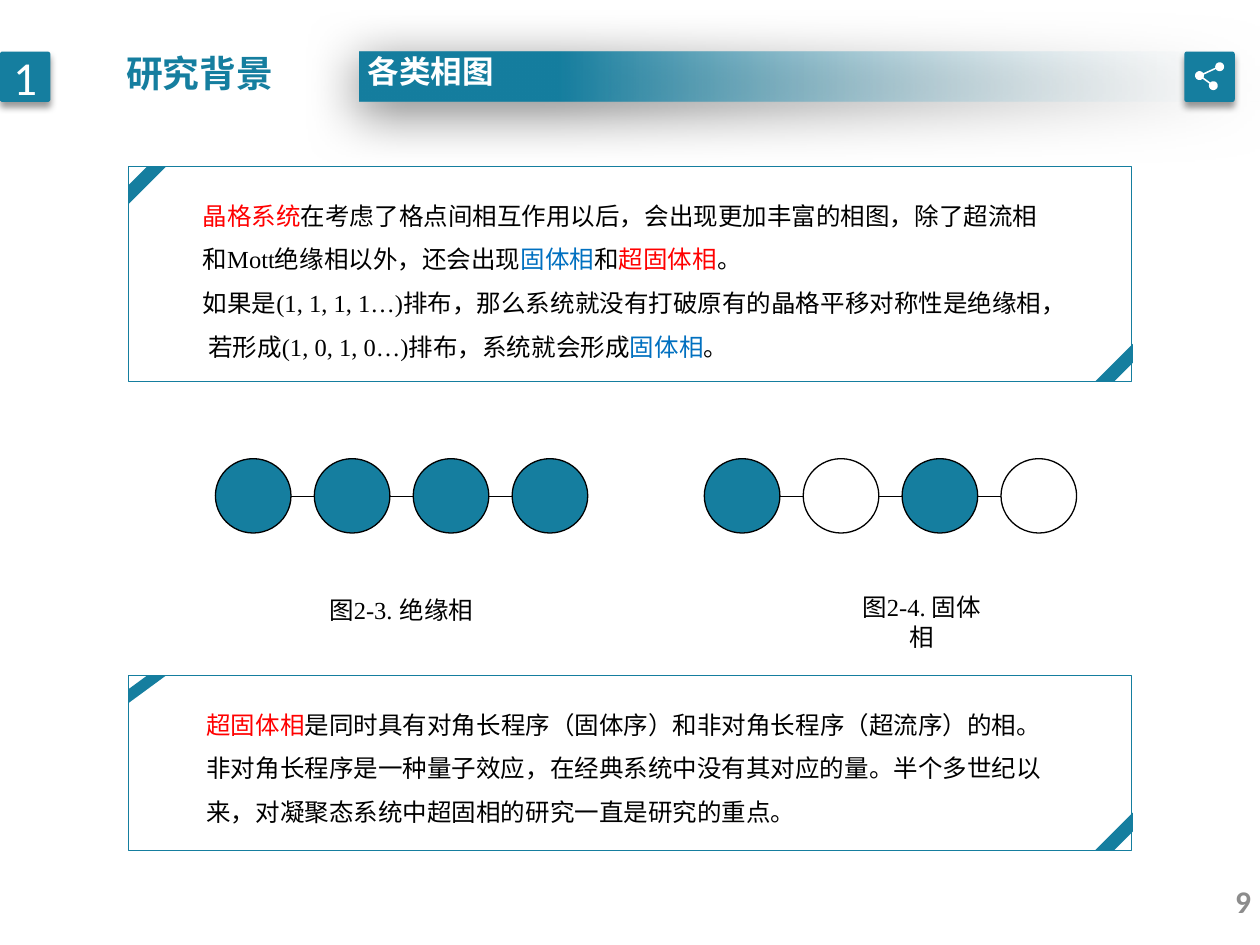
from math import cos, radians, sin

from lxml.etree import SubElement
from pptx import Presentation
from pptx.dml.color import RGBColor
from pptx.enum.shapes import MSO_CONNECTOR, MSO_SHAPE
from pptx.enum.text import MSO_ANCHOR, PP_ALIGN
from pptx.oxml.ns import qn
from pptx.util import Inches, Pt

TEAL = RGBColor(0x15, 0x7E, 0x9F)
PALE = RGBColor(0xF7, 0xFA, 0xFD)
WHITE = RGBColor(0xFF, 0xFF, 0xFF)
BLACK = RGBColor(0, 0, 0)
RED = RGBColor(0xFF, 0, 0)
BLUE = RGBColor(0, 0x70, 0xC0)
GRAY = RGBColor(0x8C, 0x8C, 0x8C)
HAN = "Noto Sans CJK SC"
TIMES = "Times New Roman"
CALIBRI = "Calibri"
NARROW = {"margin_left": Inches(0.07), "margin_right": Inches(0.07),
          "margin_top": Inches(0.04), "margin_bottom": Inches(0.04)}


def add_shape(kind, left, top, width, height, fill=None, line=None, weight=0.75, shadow=None):
    shape = page.shapes.add_shape(kind, Inches(left), Inches(top), Inches(width), Inches(height))
    shape.shadow.inherit = False
    if fill is None:
        shape.fill.background()
    else:
        shape.fill.solid()
        shape.fill.fore_color.rgb = fill
    if line is None:
        shape.line.fill.background()
    else:
        shape.line.color.rgb = line
        shape.line.width = Pt(weight)
    if shadow:
        alpha, blur, distance, angle = shadow
        effects = shape._element.spPr.find(qn("a:effectLst"))
        outer = SubElement(effects, qn("a:outerShdw"), blurRad=str(Pt(blur)),
                           dist=str(Pt(distance)), dir=str(angle * 60000),
                           algn="ctr", rotWithShape="0")
        color = SubElement(outer, qn("a:srgbClr"), val="000000")
        SubElement(color, qn("a:alpha"), val=str(alpha * 1000))
    return shape


def write(box, paragraphs, frame_format, para_format, bold=False):
    frame = box.text_frame
    for name, value in {"word_wrap": True, **frame_format}.items():
        setattr(frame, name, value)
    for index, runs in enumerate(paragraphs):
        para = frame.add_paragraph() if index else frame.paragraphs[0]
        for name, value in para_format.items():
            setattr(para, name, value)
        for text, font, size, color in runs:
            span = para.add_run()
            span.text = text
            for name, value in {"name": font, "size": Pt(size), "bold": bold}.items():
                setattr(span.font, name, value)
            span.font.color.rgb = color
            SubElement(span.font._element, qn("a:ea"), typeface=font)


deck = Presentation()
deck.slide_width, deck.slide_height = Inches(10), Inches(7.5)
page = deck.slides.add_slide(deck.slide_layouts[5])

banner = add_shape(MSO_SHAPE.RECTANGLE, 2.85, 0.41, 7.15, 0.4, TEAL, shadow=(50, 31, 6, 97))
banner.fill.gradient()
banner.fill.gradient_angle = 180
for stop, color, position in zip(banner.fill.gradient_stops, (PALE, TEAL), (0, 0.78)):
    stop.color.rgb = color
    stop.position = position
clear_color = next(banner._element.spPr.iter(qn("a:srgbClr")))
SubElement(clear_color, qn("a:alpha"), val="0")

badges = [add_shape(MSO_SHAPE.ROUNDED_RECTANGLE, left, 0.41, 0.4, 0.4, TEAL, shadow=(40, 4, 3, 90))
          for left in (0, 9.4)]
for badge in badges:
    badge.adjustments[0] = 0.05
write(badges[0], [[("1", CALIBRI, 27, WHITE)]],
      {**NARROW, "vertical_anchor": MSO_ANCHOR.MIDDLE}, {"alignment": PP_ALIGN.CENTER})

share_arcs = [(9.68, 0.53, 168, 508), (9.52, 0.6, -12, 26),
              (9.63, 0.68, 226, 566), (9.52, 0.6, 46, 328)]
outline = []
for x, y, start, end in share_arcs:
    for step in range(25):
        angle = radians(start + (end - start) * step / 24)
        outline.append((Inches(x + 0.035 * cos(angle)), Inches(y + 0.035 * sin(angle))))
builder = page.shapes.build_freeform(*outline[0])
builder.add_line_segments(outline[1:], close=True)
share_icon = builder.convert_to_shape()
share_icon.shadow.inherit = False
share_icon.fill.solid()
share_icon.fill.fore_color.rgb = WHITE
share_icon.line.fill.background()

title = page.shapes.title
for name, value in {"left": 0.93, "top": 0.26, "width": 1.32, "height": 0.6}.items():
    setattr(title, name, Inches(value))
write(title, [[("研究背景", HAN, 21, TEAL)]], {**NARROW, "vertical_anchor": MSO_ANCHOR.TOP},
      {"alignment": PP_ALIGN.LEFT, "line_spacing": 1.3}, bold=True)

for left, fills in ((1.71, (TEAL,) * 4), (5.59, (TEAL, WHITE) * 2)):
    for site, fill in enumerate(fills):
        x = left + 0.785 * site
        add_shape(MSO_SHAPE.OVAL, x, 3.64, 0.6, 0.59, fill, BLACK)
        if site:
            bond = page.shapes.add_connector(MSO_CONNECTOR.STRAIGHT, Inches(x - 0.185),
                                             Inches(3.94), Inches(x), Inches(3.94))
            bond.line.color.rgb = BLACK
            bond.line.width = Pt(0.75)
            SubElement(bond._element.spPr, qn("a:effectLst"))

for top, height, stripe_height in ((1.32, 1.71, 0.3), (5.36, 1.39, 0.22)):
    add_shape(MSO_SHAPE.RECTANGLE, 1.02, top, 7.96, height, line=TEAL, weight=0.5)
    add_shape(MSO_SHAPE.DIAGONAL_STRIPE, 1.02, top, 0.3, stripe_height, TEAL)
    corner = add_shape(MSO_SHAPE.DIAGONAL_STRIPE, 8.69, top + height - 0.3, 0.3, 0.3, TEAL)
    corner.rotation = 180

lattice = [
    [("晶格系统", HAN, 14, RED),
     ("在考虑了格点间相互作用以后，会出现更加丰富的相图，除了超流相和", HAN, 14, BLACK),
     ("Mott", TIMES, 14, BLACK), ("绝缘相以外，还会出现", HAN, 14, BLACK),
     ("固体相", HAN, 14, BLUE), ("和", HAN, 14, BLACK),
     ("超固体相", HAN, 14, RED), ("。", HAN, 14, BLACK)],
    [("如果是", HAN, 14, BLACK), ("(1, 1, 1, 1…)", TIMES, 14, BLACK),
     ("排布，那么系统就没有打破原有的晶格平移对称性是绝缘相， 若形成", HAN, 14, BLACK),
     ("(1, 0, 1, 0…)", TIMES, 14, BLACK), ("排布，系统就会形成", HAN, 14, BLACK),
     ("固体相", HAN, 14, BLUE), ("。", HAN, 14, BLACK)],
]
supersolid = [
    [("超固体相", HAN, 14, RED),
     ("是同时具有对角长程序（固体序）和非对角长程序（超流序）的相。"
      "非对角长程序是一种量子效应，在经典系统中没有其对应的量。"
      "半个多世纪以来，对凝聚态系统中超固相的研究一直是研究的重点。", HAN, 14, BLACK)],
]
insulator_caption = [[("图", HAN, 14, BLACK), ("2-3.", TIMES, 14, BLACK),
                      (" ", TIMES, 16, BLACK), ("绝缘相", HAN, 14, BLACK)]]
solid_caption = [[("图", HAN, 14, BLACK), ("2-4. ", TIMES, 14, BLACK),
                  ("固体相", HAN, 14, BLACK)]]
body = {"line_spacing": Pt(25)}
caption = {"line_spacing": Pt(17), "alignment": PP_ALIGN.CENTER}
texts = [
    (2.85, 0.37, 4.64, 0.42, [[("各类相图", HAN, 18, WHITE)]], NARROW, {}, True),
    (7.75, 7, 2.25, 0.3, [[("9", CALIBRI, 18, GRAY)]],
     {**NARROW, "vertical_anchor": MSO_ANCHOR.MIDDLE}, {"alignment": PP_ALIGN.RIGHT}, True),
    (2.33, 4.68, 1.71, 0.37, insulator_caption, {}, caption, False),
    (6.65, 4.65, 1.33, 0.34, solid_caption, {}, caption, False),
    (1.51, 1.43, 6.99, 1.51, lattice, {}, body, False),
    (1.54, 5.47, 6.96, 1.16, supersolid, {}, body, False),
]
for left, top, width, height, paragraphs, frame_format, para_format, bold in texts:
    box = page.shapes.add_textbox(Inches(left), Inches(top), Inches(width), Inches(height))
    write(box, paragraphs, frame_format, para_format, bold)

deck.save("out.pptx")
